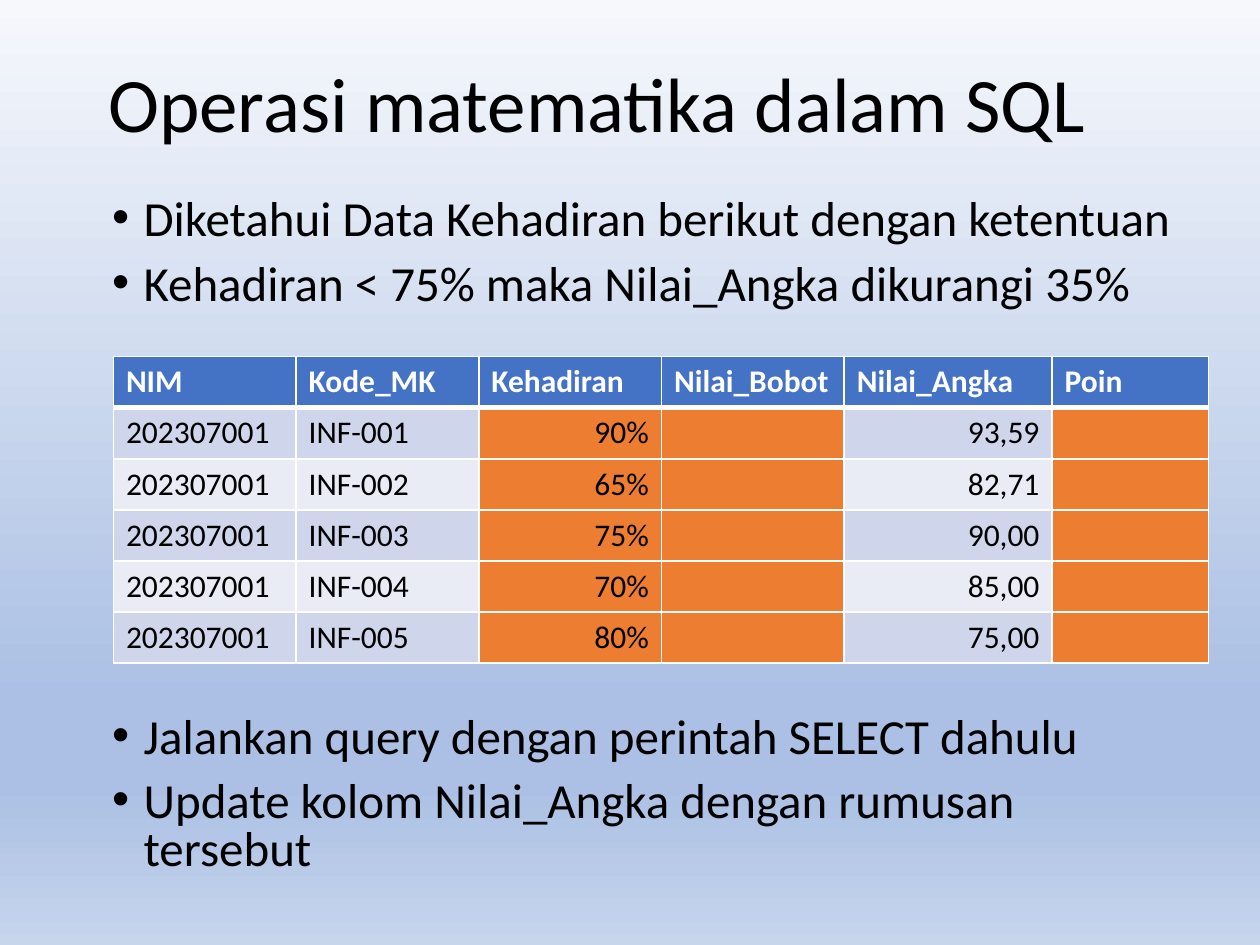
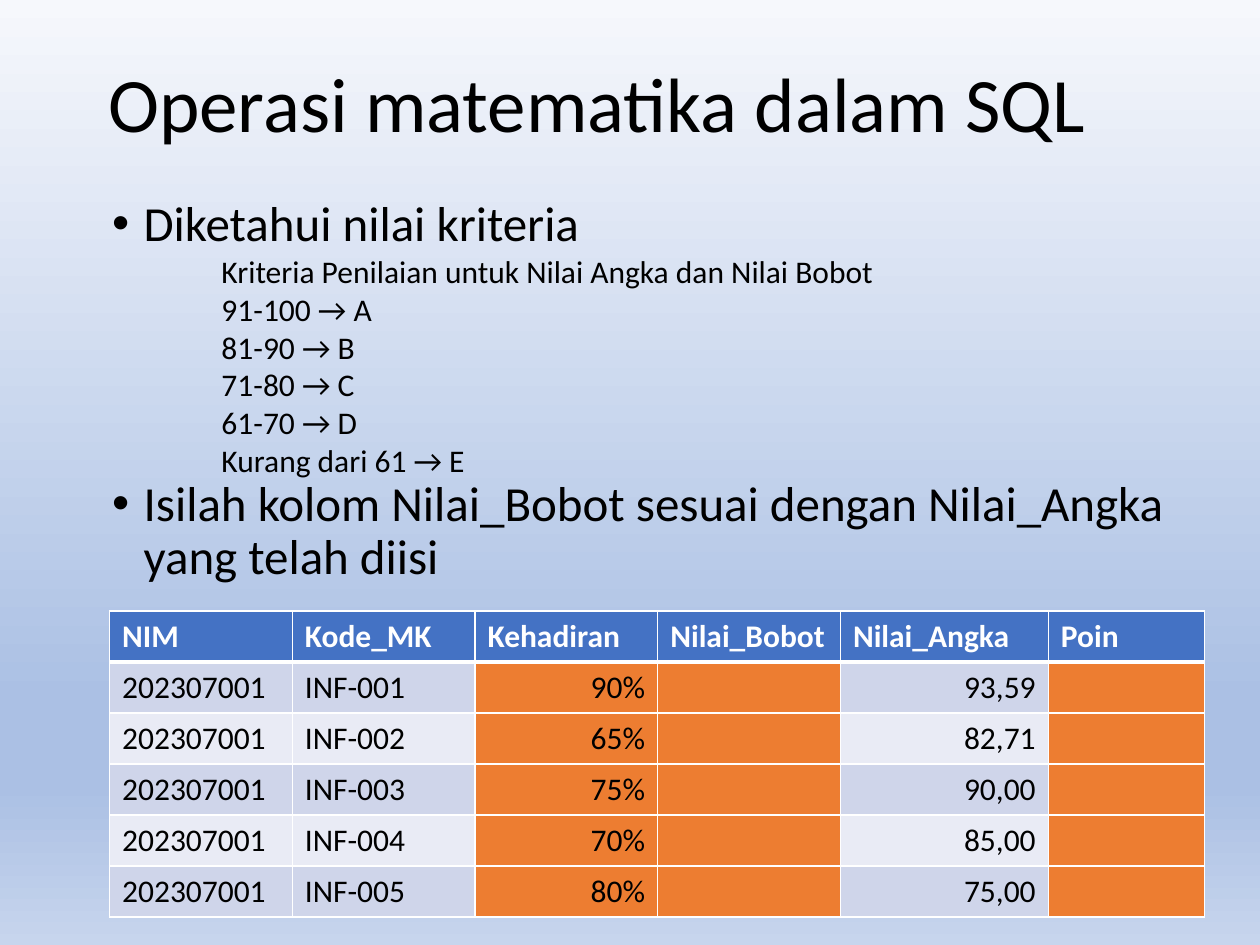
"""Builds two slides about mathematical operations in SQL."""
from dataclasses import dataclass

from lxml import etree
from pptx import Presentation
from pptx.dml.color import RGBColor
from pptx.enum.text import MSO_ANCHOR, MSO_AUTO_SIZE, PP_ALIGN
from pptx.oxml.ns import qn
from pptx.util import Inches, Pt

LEFT, RIGHT = PP_ALIGN.LEFT, PP_ALIGN.RIGHT
MIDDLE = MSO_ANCHOR.MIDDLE
NO_AUTOFIT, GROW = MSO_AUTO_SIZE.NONE, MSO_AUTO_SIZE.SHAPE_TO_FIT_TEXT

WIDTH, HEIGHT = Inches(10), Inches(7.5)
FONT = "Calibri"
COLORS = {
    "text": "000000", "white": "FFFFFF", "header": "4472C4",
    "odd": "CFD5EA", "even": "E9EBF5", "highlight": "ED7D31",
    "sky_top": "F6F8FC", "sky_deep": "ABC0E4", "sky_bottom": "C7D5ED",
}
BACKGROUND_STOPS = [(0, "sky_top"), (74, "sky_deep"), (83, "sky_deep"), (100, "sky_bottom")]
TITLE = "Operasi matematika dalam SQL"
HEADERS = ["NIM", "Kode_MK", "Kehadiran", "Nilai_Bobot", "Nilai_Angka", "Poin"]
ATTENDANCE = ["90%", "65%", "75%", "70%", "80%"]
SCORES = ["93,59", "82,71", "90,00", "85,00", "75,00"]
COLUMN_PERCENTS = [14.5, 14.5, 14.5, 14.5, 16.5, 12.4]
HIGHLIGHT_COLUMNS = {"Kehadiran", "Nilai_Bobot", "Poin"}
NUMBER_COLUMNS = {"Kehadiran", "Nilai_Angka"}
CRITERIA = [
    "Kriteria Penilaian untuk Nilai Angka dan Nilai Bobot",
    "91-100 → A", "81-90 → B", "71-80 → C", "61-70 → D", "Kurang dari 61 → E",
]


@dataclass(frozen=True)
class Box:
    """A rectangle in percent of the slide's width and height."""
    left: float
    top: float
    width: float
    height: float

    def lengths(self) -> tuple[int, int, int, int]:
        """Return left, top, width and height as slide lengths."""
        return (across(self.left), down(self.top), across(self.width), down(self.height))


@dataclass(frozen=True)
class Bullet:
    """A list item and the space above it in points."""
    text: str
    space_before: float = 10


@dataclass(frozen=True)
class Lesson:
    """The content of one slide."""
    body: Box
    bullets: list[Bullet]
    line_spacing: float
    table: Box
    criteria: Box | None = None


TITLE_BOX = Box(7.6, 1.73, 86.2, 19.33)
LESSONS = [
    Lesson(
        Box(7.9, 20.4, 86.2, 73.73),
        [
            Bullet("Diketahui Data Kehadiran berikut dengan ketentuan"),
            Bullet("Kehadiran < 75% maka Nilai_Angka dikurangi 35%"),
            Bullet("Jalankan query dengan perintah SELECT dahulu", 232),
            Bullet("Update kolom Nilai_Angka dengan rumusan tersebut"),
        ],
        0.8,
        Box(9, 37.73, 86.9, 32.4),
    ),
    Lesson(
        Box(7.9, 20.4, 86.2, 56.4),
        [
            Bullet("Diketahui nilai kriteria"),
            Bullet("Isilah kolom Nilai_Bobot sesuai dengan Nilai_Angka yang telah diisi", 130),
        ],
        0.9,
        Box(8.7, 64.67, 86.9, 32.4),
        Box(16.6, 26, 62.4, 25.6),
    ),
]


def across(percent: float) -> int:
    """Return a share of the slide's width."""
    return round(WIDTH * percent / 100)


def down(percent: float) -> int:
    """Return a share of the slide's height."""
    return round(HEIGHT * percent / 100)


def place(shape, box: Box) -> None:
    """Move and size a shape to a box."""
    shape.left, shape.top, shape.width, shape.height = box.lengths()


def format_runs(paragraph, size: float, color: str = "text", bold: bool = False) -> None:
    """Give all runs of a paragraph one font."""
    for run in paragraph.runs:
        run.font.name, run.font.size, run.font.bold = FONT, Pt(size), bold
        run.font.color.rgb = RGBColor.from_string(COLORS[color])


def paint_background(master) -> None:
    """Fill the master's background with the shared vertical gradient."""
    fill = master.background.fill
    fill.gradient()
    fill.gradient_angle = 270
    stops = master.background._cSld.find(".//" + qn("a:gsLst"))
    for stop in list(stops):
        stops.remove(stop)
    for percent, color in BACKGROUND_STOPS:
        stop = etree.SubElement(stops, qn("a:gs"), pos=str(percent * 1000))
        etree.SubElement(stop, qn("a:srgbClr"), val=COLORS[color])


def write_title(slide) -> None:
    """Fill the title placeholder."""
    title = slide.shapes.title
    place(title, TITLE_BOX)
    frame = title.text_frame
    frame.text = TITLE
    frame.vertical_anchor, frame.auto_size = MIDDLE, NO_AUTOFIT
    paragraph = frame.paragraphs[0]
    paragraph.alignment, paragraph.line_spacing = LEFT, 0.9
    format_runs(paragraph, 44)


def write_bullets(slide, lesson: Lesson) -> None:
    """Fill the body placeholder with the lesson's list."""
    body = slide.placeholders[1]
    place(body, lesson.body)
    frame = body.text_frame
    frame.text = "\n".join(bullet.text for bullet in lesson.bullets)
    frame.auto_size = NO_AUTOFIT
    for paragraph, bullet in zip(frame.paragraphs, lesson.bullets):
        paragraph.line_spacing = lesson.line_spacing
        paragraph.space_before = Pt(bullet.space_before)
        properties = paragraph._p.get_or_add_pPr()
        properties.set("marL", str(across(2.5)))
        properties.set("indent", str(-across(2.5)))
        format_runs(paragraph, 28)


def write_criteria(slide, box: Box) -> None:
    """Add the text box with the grading criteria."""
    frame = slide.shapes.add_textbox(*box.lengths()).text_frame
    frame.word_wrap, frame.auto_size = True, GROW
    frame.text = "\n".join(CRITERIA)
    for paragraph in frame.paragraphs:
        format_runs(paragraph, 18)


def draw_borders(cell, row: int) -> None:
    """Outline a cell in white, with a thick line under the header."""
    thick_side = {0: "lnB", 1: "lnT"}.get(row)
    properties = cell._tc.get_or_add_tcPr()
    for side in ("lnL", "lnR", "lnT", "lnB"):
        width = Pt(3 if side == thick_side else 1)
        line = etree.SubElement(properties, qn(f"a:{side}"), w=str(width))
        fill = etree.SubElement(line, qn("a:solidFill"))
        etree.SubElement(fill, qn("a:srgbClr"), val=COLORS["white"])


def cell_color(row: int, header: str) -> str:
    """Return the name of a cell's fill colour."""
    if row == 0:
        return "header"
    if header in HIGHLIGHT_COLUMNS:
        return "highlight"
    return "odd" if row % 2 else "even"


def write_table(slide, box: Box) -> None:
    """Add the table of attendance and scores."""
    records = [
        ["202307001", f"INF-{number:03}", attendance, "", score, ""]
        for number, (attendance, score) in enumerate(zip(ATTENDANCE, SCORES), 1)
    ]
    rows = [HEADERS, *records]
    table = slide.shapes.add_table(len(rows), len(HEADERS), *box.lengths()).table
    for column, percent in zip(table.columns, COLUMN_PERCENTS):
        column.width = across(percent)
    for row, texts in enumerate(rows):
        for column, (header, text) in enumerate(zip(HEADERS, texts)):
            cell = table.cell(row, column)
            draw_borders(cell, row)
            cell.fill.solid()
            cell.fill.fore_color.rgb = RGBColor.from_string(COLORS[cell_color(row, header)])
            cell.text_frame.text = text
            paragraph = cell.text_frame.paragraphs[0]
            paragraph.alignment = RIGHT if row and header in NUMBER_COLUMNS else LEFT
            format_runs(paragraph, 18, "text" if row else "white", bold=row == 0)


def main() -> None:
    """Build and save the presentation."""
    presentation = Presentation()
    presentation.slide_width, presentation.slide_height = WIDTH, HEIGHT
    paint_background(presentation.slide_master)
    for lesson in LESSONS:
        slide = presentation.slides.add_slide(presentation.slide_layouts[1])
        write_title(slide)
        write_bullets(slide, lesson)
        if lesson.criteria:
            write_criteria(slide, lesson.criteria)
        write_table(slide, lesson.table)
    presentation.save("out.pptx")


if __name__ == "__main__":
    main()
